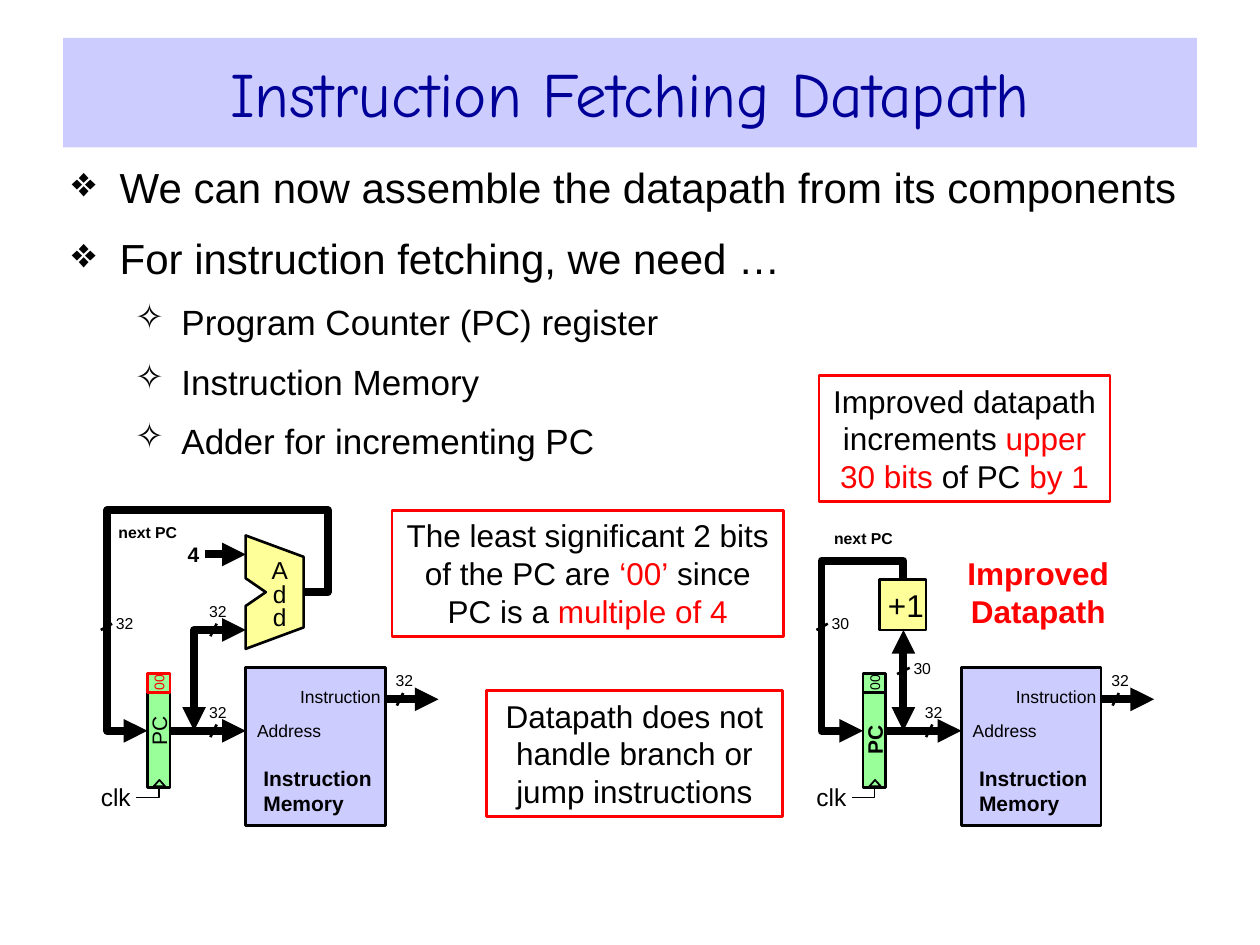
from lxml import etree
from pptx import Presentation
from pptx.dml.color import RGBColor
from pptx.enum import shapes, text
from pptx.oxml import ns
from pptx.util import Inches, Pt

THEME = {
    "font": "Arial", "title_font": "Comic Neue",
    "black": "000000", "red": "FF0000", "navy": "000099",
    "lilac": "CCCCFF", "green": "99FF99", "yellow": "FFFF99",
    "title": 36, "body": (24, 20), "callout": 18, "label": 14,
    "name": 12, "port": 10, "width": 9, "bits": 8,
    "bus": 4.5, "outline": 1.5, "thin": 1,
}
BLACK, RED = THEME["black"], THEME["red"]
LEFT, CENTER, RIGHT = text.PP_ALIGN.LEFT, text.PP_ALIGN.CENTER, text.PP_ALIGN.RIGHT
TOP, MIDDLE = text.MSO_ANCHOR.TOP, text.MSO_ANCHOR.MIDDLE
RECT = shapes.MSO_SHAPE.RECTANGLE
PADDING = (0.1, 0.05)

TITLE = "Instruction Fetching Datapath"
BULLETS = [
    (0, "We can now assemble the datapath from its components"),
    (0, "For instruction fetching, we need …"),
    (1, "Program Counter (PC) register"),
    (1, "Instruction Memory"),
    (1, "Adder for incrementing PC"),
]
# level: bullet, left margin, hanging indent, space before
BULLET_STYLES = [("❖", 0.38, -0.38, 12), ("✧", 0.87, -0.37, 10)]
CALLOUTS = [
    ((3.11, 4.05, 3.11, 1), [("The least significant 2 bits of the PC are ", BLACK), ("‘00’", RED),
                             (" since PC is a ", BLACK), ("multiple of 4", RED)]),
    ((3.86, 5.48, 2.35, 1), [("Datapath does not handle branch or jump instructions", BLACK)]),
    ((6.5, 2.98, 2.31, 1), [("Improved datapath increments ", BLACK), ("upper 30 bits", RED),
                            (" of PC ", BLACK), ("by 1", RED)]),
]
# Each datapath is drawn in the left one's coordinates, moved by its shift.
DATAPATHS = [
    {"shift": 0, "pc_length": 0.9, "pc_bold": False, "low_bits": RED, "next_pc_top": 4.15,
     "loop": [(2.42, 4.7), (2.6, 4.7), (2.6, 4.05), (0.85, 4.05), (0.85, 5.8), (1.17, 5.8)],
     "feed": [(1.54, 5.8), (1.54, 5), (1.95, 5)],
     "widths": [("32", 0.92, 4.85), ("32", 1.66, 4.75)],
     "ticks": [((0.89, 4.95), (0.8, 5)), ((1.72, 4.95), (1.67, 5.05))]},
    {"shift": 5.68, "pc_length": 0.75, "pc_bold": True, "low_bits": BLACK, "next_pc_top": 4.2,
     "loop": [(1.49, 4.6), (1.49, 4.45), (0.84, 4.45), (0.84, 5.8), (1.17, 5.8)],
     "feed": [(1.49, 5.8), (1.49, 5)],
     "widths": [("30", 0.92, 4.85), ("30", 1.57, 5.2)],
     "ticks": [((0.89, 4.95), (0.8, 5)), ((1.54, 5.3), (1.44, 5.35))]},
]
ADDER = [(1.95, 5.15), (2.41, 4.98), (2.41, 4.42), (1.95, 4.25),
         (1.95, 4.59), (2.11, 4.7), (1.95, 4.81)]

deck = Presentation()
deck.slide_width, deck.slide_height = Inches(10), Inches(7.5)
page = deck.slides.add_slide(deck.slide_layouts[5])


def color(name):
    return RGBColor.from_string(THEME.get(name, name))


def style_font(paragraph, size, tint=BLACK, bold=False, face=THEME["font"]):
    font = paragraph.font
    font.name, font.size, font.bold = face, Pt(size), bold
    font.color.rgb = color(tint)


def set_frame(frame, anchor=MIDDLE, padding=(0, 0)):
    frame.word_wrap, frame.auto_size = True, text.MSO_AUTO_SIZE.NONE
    frame.vertical_anchor = anchor
    frame.margin_left = frame.margin_right = Inches(padding[0])
    frame.margin_top = frame.margin_bottom = Inches(padding[1])


def write(box, lines, size, tint=BLACK, bold=False, align=LEFT, spacing=None, **frame_options):
    set_frame(box.text_frame, **frame_options)
    box.text_frame.text = "\n".join(lines)
    for para in box.text_frame.paragraphs:
        para.alignment, para.line_spacing = align, spacing
        style_font(para, size, tint, bold)


def label(at, lines, size, **options):
    write(page.shapes.add_textbox(*map(Inches, at)), lines, size, **options)


def paint(shape, fill=None, line=BLACK, weight=THEME["outline"]):
    shape.shadow.inherit = False
    if fill:
        shape.fill.solid()
        shape.fill.fore_color.rgb = color(fill)
    else:
        shape.fill.background()
    shape.line.color.rgb, shape.line.width = color(line), Pt(weight)
    return shape


def add_block(at, fill=None, kind=RECT, **options):
    return paint(page.shapes.add_shape(kind, *map(Inches, at)), fill, **options)


def add_upright(center, length, thickness, fill, line=BLACK):
    """Block turned so that its text reads upwards."""
    x, y = center
    block = add_block((x - length / 2, y - thickness / 2, length, thickness), fill, line=line)
    block.rotation = 270
    return block


def add_arrowheads(shape, ends):
    for end in ends:
        etree.SubElement(shape.line._get_or_add_ln(), ns.qn(f"a:{end}"), type="triangle")


def add_wire(points, shift=0, weight=THEME["bus"], ends=("tailEnd",)):
    points = [(Inches(x + shift), Inches(y)) for x, y in points]
    if len(points) == 2:
        wire = page.shapes.add_connector(shapes.MSO_CONNECTOR.STRAIGHT, *points[0], *points[1])
        etree.SubElement(wire._element.spPr, ns.qn("a:effectLst"))
        wire.line.color.rgb, wire.line.width = color(BLACK), Pt(weight)
    else:
        builder = page.shapes.build_freeform(*points[0])
        builder.add_line_segments(points[1:], close=False)
        wire = paint(builder.convert_to_shape(), weight=weight)
    add_arrowheads(wire, ends)


def add_datapath(plan):
    dx = plan["shift"]
    length, pc_bottom, pc_x = plan["pc_length"], 6.25, 1.26 + dx
    register = add_upright((pc_x, pc_bottom - length / 2), length, 0.18, "green")
    write(register, ["PC"], THEME["name"], bold=plan["pc_bold"], align=CENTER)
    low_bits = add_upright((pc_x, 5.42), 0.15, 0.18, "green", plan["low_bits"])
    write(low_bits, ["00"], THEME["bits"], plan["low_bits"], align=CENTER)

    add_wire(plan["loop"], dx)
    add_wire(plan["feed"], dx, ends=("headEnd", "tailEnd"))
    add_block((1.95 + dx, 5.3, 1.11, 1.25), "lilac")
    add_wire([(1.35, 5.8), (1.95, 5.8)], dx)
    add_wire([(3.06, 5.55), (3.48, 5.55)], dx)
    for tick in plan["ticks"] + [((3.2, 5.5), (3.15, 5.6)), ((1.72, 5.75), (1.67, 5.85))]:
        add_wire(tick, dx, THEME["outline"], ends=())
    for width, x, y in plan["widths"] + [("32", 3.14, 5.3), ("32", 1.66, 5.55)]:
        label((x + dx, y, 0.18, 0.2), [width], THEME["width"])

    label((2.04 + dx, 5.65, 0.69, 0.3), ["Address"], THEME["port"])
    label((2.14 + dx, 5.4, 0.88, 0.25), ["Instruction"], THEME["port"], align=RIGHT)
    label((2.09 + dx, 6, 0.88, 0.55), ["Instruction", "Memory"], THEME["name"], bold=True)
    label((0.94 + dx, plan["next_pc_top"], 0.51, 0.15), ["next PC"], THEME["width"], bold=True)

    add_block((1.22 + dx, 6.19, 0.09, 0.05), kind=shapes.MSO_SHAPE.ISOSCELES_TRIANGLE,
              weight=THEME["thin"])
    add_wire([(1.26, 6.25), (1.26, 6.33), (1.08, 6.33)], dx, THEME["thin"], ends=())
    label((0.8 + dx, 6.22, 0.28, 0.2), ["clk"], THEME["label"])


def add_adder():
    add_wire([(1.63, 4.4), (1.95, 4.4)])
    label((1.49, 4.25, 0.14, 0.3), ["4"], THEME["name"], bold=True)
    corners = [(Inches(x), Inches(y)) for x, y in ADDER]
    builder = page.shapes.build_freeform(*corners[0])
    builder.add_line_segments(corners[1:], close=True)
    paint(builder.convert_to_shape(), "yellow")
    label((2.03, 4.4, 0.38, 0.66), list("Add"), THEME["label"], align=CENTER,
          spacing=0.8, padding=PADDING)


def add_incrementer():
    box = add_block((6.98, 4.6, 0.37, 0.4), "yellow")
    write(box, ["+1"], THEME["callout"], align=CENTER)
    box.text_frame.margin_left = Inches(0.05)
    label((7.54, 4.35, 1.4, 0.7), ["Improved", "Datapath"], THEME["callout"], tint=RED,
          bold=True, align=CENTER, anchor=TOP, padding=PADDING)


def add_bullets():
    frame = page.shapes.add_textbox(*map(Inches, (0.5, 1.25, 9, 3.01))).text_frame
    set_frame(frame, TOP, (0.07, 0.03))
    for index, (level, line) in enumerate(BULLETS):
        para = frame.add_paragraph() if index else frame.paragraphs[0]
        mark, margin, indent, before = BULLET_STYLES[level]
        para.text, para.level = line, level
        para.space_before = Pt(before if index else 0)
        props = para._p.get_or_add_pPr()
        props.set("marL", str(Inches(margin)))
        props.set("indent", str(Inches(indent)))
        etree.SubElement(props, ns.qn("a:buChar"), char=mark)
        style_font(para, THEME["body"][level])


def add_callout(at, spans):
    frame = add_block(at, line=RED).text_frame
    set_frame(frame, TOP, PADDING)
    para = frame.paragraphs[0]
    para.alignment = CENTER
    style_font(para, THEME["callout"])
    for words, tint in spans:
        span = para.add_run()
        span.text, span.font.color.rgb = words, color(tint)


title = page.shapes.title
title.left, title.top, title.width, title.height = map(Inches, (0.5, 0.3, 9, 0.87))
title.fill.solid()
title.fill.fore_color.rgb = color("lilac")
title.text_frame.text = TITLE
set_frame(title.text_frame, padding=PADDING)
title.text_frame.paragraphs[0].alignment = CENTER
style_font(title.text_frame.paragraphs[0], THEME["title"], "navy", face=THEME["title_font"])

add_bullets()
for at, spans in CALLOUTS:
    add_callout(at, spans)
for plan in DATAPATHS:
    add_datapath(plan)
add_adder()
add_incrementer()
deck.save("out.pptx")
